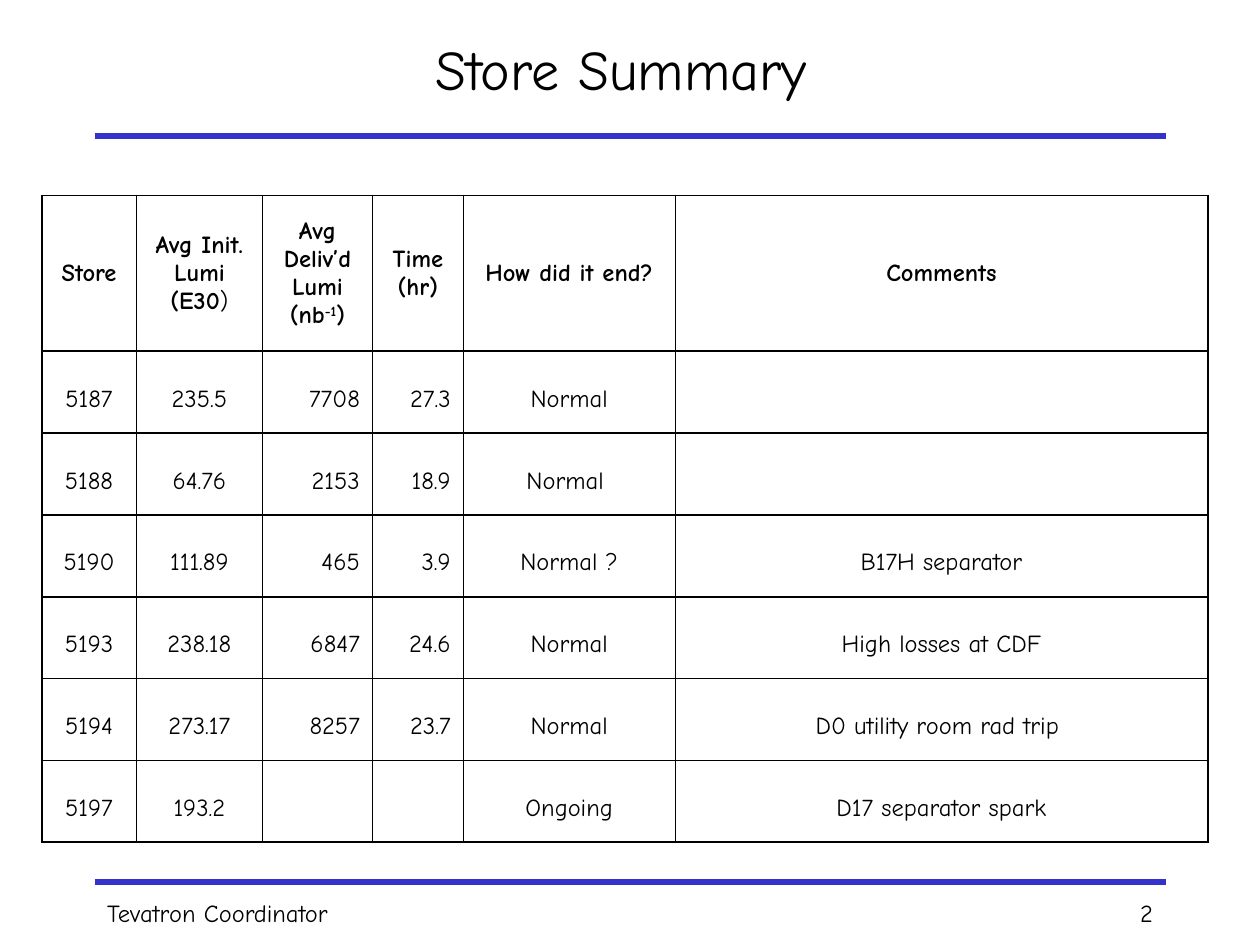
from dataclasses import dataclass
from lxml.etree import SubElement as Sub
from pptx import Presentation
from pptx.dml.color import RGBColor as RGB
from pptx.enum.shapes import MSO_CONNECTOR as Link
from pptx.enum.text import MSO_ANCHOR as Anchor, PP_ALIGN as Align
from pptx.oxml.ns import qn
from pptx.util import Cm, Pt


@dataclass
class Theme:
    font: str = "Comic Neue"
    ink: RGB = RGB(0, 0, 0)
    rule: RGB = RGB(0x33, 0x33, 0xCC)
    title: Pt = Pt(32)
    text: Pt = Pt(14)
    bar: Pt = Pt(3)
    thin: Pt = Pt(0.45)
    thick: Pt = Pt(1.08)


theme = Theme()


def style(para, size, align, bold=False):
    para.alignment = align
    for run in para.runs:
        font = run.font
        font.name, font.size, font.bold = theme.font, size, bold
        font.color.rgb = theme.ink


def border(cell, side, width):
    line = Sub(cell._tc.get_or_add_tcPr(), qn(f"a:ln{side}"), w=str(int(width)))
    fill = Sub(line, qn("a:solidFill"))
    Sub(fill, qn("a:srgbClr"), val=str(theme.ink))


deck = Presentation()
deck.slide_width, deck.slide_height = Cm(25.4), Cm(19.05)
slide = deck.slides.add_slide(deck.slide_layouts[5])
shapes = slide.shapes

# Rules above and below the table
for y in (2.74, 17.78):
    rule = shapes.add_connector(Link.STRAIGHT, Cm(1.91), Cm(y), Cm(23.5), Cm(y))
    rule.line.color.rgb = theme.rule
    rule.line.width = theme.bar
    Sub(rule._element.spPr, qn("a:effectLst"))

# Title
title = shapes.title
title.left, title.top, title.width, title.height = Cm(2.97), Cm(0.64), Cm(19.48), Cm(1.47)
frame = title.text_frame
frame.text = "Store Summary "
frame.vertical_anchor = Anchor.MIDDLE
style(frame.paragraphs[0], theme.title, Align.CENTER)

# Store table; "|" parts the runs of a heading
heads = ["Store", "Avg Init. Lumi (E30|)", "Avg Deliv’d\nLumi\n(nb|-1|)",
         "Time (hr)", "How did it end?", "Comments"]
stores = [
    ["5187", "235.5", "7708", "27.3", "Normal", ""],
    ["5188", "64.76", "2153", "18.9", "Normal ", ""],
    ["5190", "111.89", "465", "3.9", "Normal ?", "B17H separator"],
    ["5193", "238.18", "6847", "24.6", "Normal", "High losses at CDF"],
    ["5194", "273.17", "8257", "23.7", "Normal", "D0 utility room rad trip "],
    ["5197", "193.2", "", "", "Ongoing", "D17 separator spark"],
]
rows = [heads] + stores
widths = [1.91, 2.54, 2.22, 1.83, 4.27, 10.74]
heights = [3.14] + [1.65] * len(stores)
last = len(widths) - 1
right = (2, 3)

table = shapes.add_table(len(rows), len(widths), Cm(0.84), Cm(3.94),
                         Cm(sum(widths)), Cm(sum(heights))).table
table.first_row = table.horz_banding = False
for col, width in zip(table.columns, widths):
    col.width = Cm(width)
for row, height in zip(table.rows, heights):
    row.height = Cm(height)

for r, row in enumerate(rows):
    for c, text in enumerate(row):
        cell = table.cell(r, c)
        cell.vertical_anchor = Anchor.MIDDLE
        border(cell, "L", theme.thick if c == 0 else theme.thin)
        border(cell, "R", theme.thick if c == last else theme.thin)
        border(cell, "T", theme.thick)
        border(cell, "B", theme.thick)
        cell.fill.background()
        if r:
            cell.text_frame.text = text
            para = cell.text_frame.paragraphs[0]
            para.line_spacing, para.space_after = 1.5, Pt(3.5)
            para.font.size = theme.text
            style(para, theme.text, Align.RIGHT if c in right else Align.CENTER)
            continue
        cell.text_frame.text = text.replace("|", "\n") if "|" not in text else ""
        if "|" in text:
            for i, part in enumerate(text.split("\n")):
                para = cell.text_frame.add_paragraph() if i else cell.text_frame.paragraphs[0]
                for piece in part.split("|"):
                    para.add_run().text = piece
        for para in cell.text_frame.paragraphs:
            style(para, theme.text, Align.CENTER, bold=True)

table.cell(0, 1).text_frame.paragraphs[0].runs[1].font.bold = False
power = table.cell(0, 2).text_frame.paragraphs[2].runs[1]
power._r.get_or_add_rPr().set("baseline", "30000")

# Footer
for x, width, text, align in [(1.91, 5.72, "Tevatron Coordinator", Align.LEFT),
                              (20.75, 2.74, "2", Align.RIGHT)]:
    frame = shapes.add_textbox(Cm(x), Cm(17.98), Cm(width), Cm(0.64)).text_frame
    frame.word_wrap = True
    frame.text = text
    style(frame.paragraphs[0], theme.text, align)

deck.save("out.pptx")
